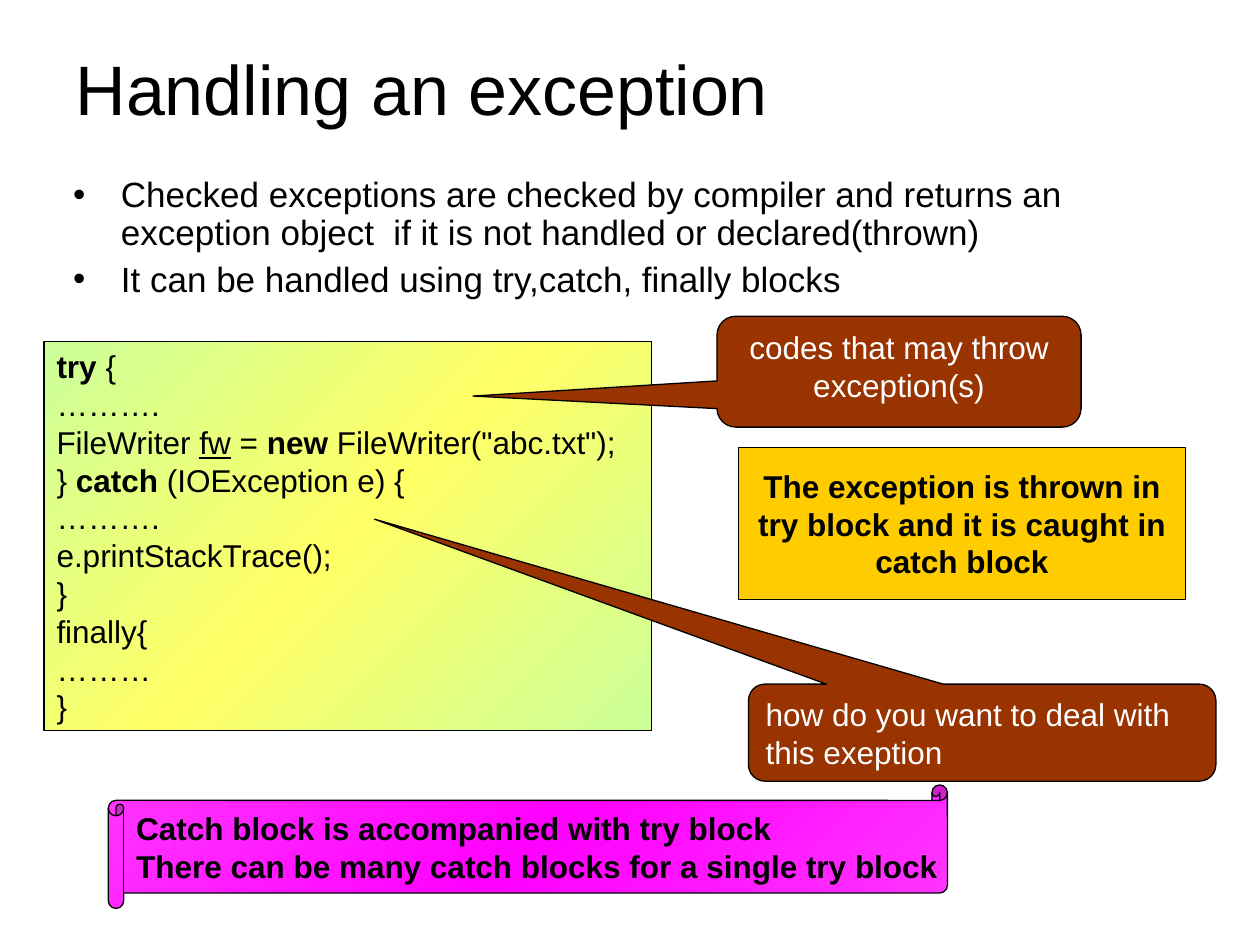
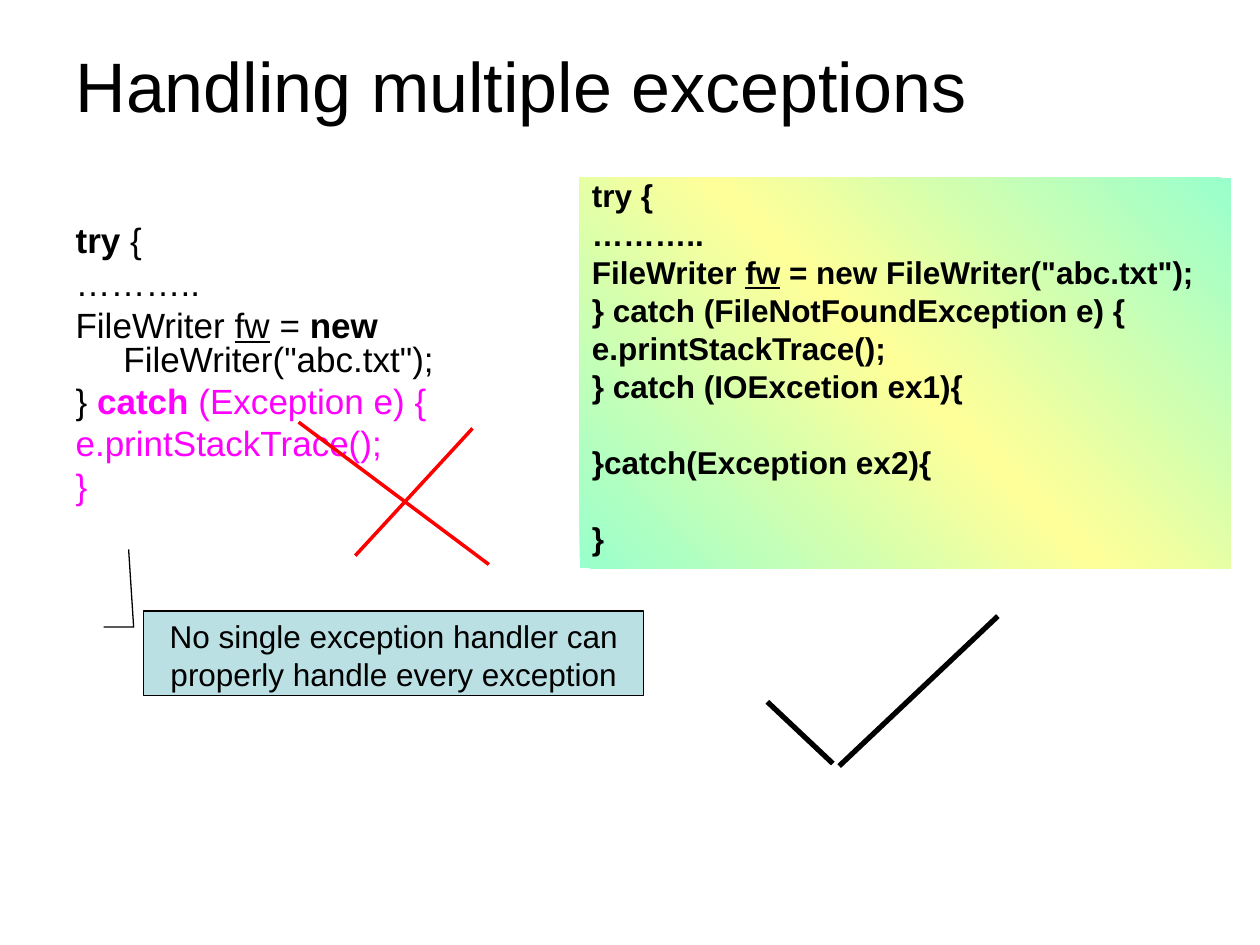
from copy import deepcopy
from dataclasses import dataclass

from lxml import etree
from pptx import Presentation
from pptx.dml.color import RGBColor
from pptx.enum.shapes import MSO_CONNECTOR, MSO_SHAPE
from pptx.enum.text import MSO_ANCHOR, MSO_AUTO_SIZE, PP_ALIGN
from pptx.oxml.ns import qn
from pptx.util import Inches, Pt

RECTANGLE = MSO_SHAPE.RECTANGLE
SCROLL = MSO_SHAPE.HORIZONTAL_SCROLL
SPEECH_CALLOUT = MSO_SHAPE.ROUNDED_RECTANGULAR_CALLOUT
LINE_CALLOUT = MSO_SHAPE.LINE_CALLOUT_2
STRAIGHT = MSO_CONNECTOR.STRAIGHT
LEFT, CENTER = PP_ALIGN.LEFT, PP_ALIGN.CENTER
TOP, MIDDLE = MSO_ANCHOR.TOP, MSO_ANCHOR.MIDDLE


@dataclass(frozen=True)
class Theme:
    font: str = "Arial"
    title_size: int = 40
    body_size: int = 20
    shape_size: int = 18
    outline: float = 0.75
    hanging: float = 0.38
    black: str = "000000"
    white: str = "FFFFFF"
    red: str = "FF0000"
    magenta: str = "FF00FF"
    brown: str = "993300"
    amber: str = "FFCC00"
    pale_blue: str = "BBE0E3"
    lime_yellow: tuple = ("CCFF99", "FFFF66", "CCFF99")
    mint_yellow: tuple = ("99FFCC", "FFFF99", "99FFCC")
    pink_magenta: tuple = ("FF35FF", "FF00FF", "FF35FF")


THEME = Theme()
BOLD = {"bold": True}
UNDERLINE = {"underline": True}
PINK = {"color": THEME.magenta}
PINK_BOLD = {"color": THEME.magenta, "bold": True}

BULLET_SPACING = {"line_spacing": 0.9, "space_before": Pt(5)}
CODE_SPACING = {"line_spacing": 0.8, "space_before": Pt(5)}
DENSE_SPACING = {"line_spacing": 0.8, "space_before": Pt(4.5)}
AFTER_GAP = {"space_before": Pt(26)}

FILE_WRITER = [("FileWriter ", {}), ("fw", UNDERLINE), (" = ", {}),
               ("new", BOLD), (' FileWriter("abc.txt");', {})]

SLIDES = [
    {
        "title": ("Handling an exception", (0.5, 0.3, 9, 0.79)),
        "body": {
            "box": (0.48, 1.36, 9, 1.09),
            "spacing": BULLET_SPACING,
            "bullets": True,
            "text": [
                "Checked exceptions are checked by compiler and returns an "
                "exception object  if it is not handled or declared(thrown)",
                "It can be handled using try,catch, finally blocks",
            ],
        },
        "shapes": [
            {
                "kind": RECTANGLE, "box": (0.35, 2.71, 4.82, 3.09),
                "fill": THEME.lime_yellow, "angle": 315,
                "anchor": MIDDLE, "wrap": False,
                "text": [
                    [("try", BOLD), (" {", {})],
                    "……….",
                    FILE_WRITER,
                    [("} ", {}), ("catch", BOLD), (" (IOException e) {", {})],
                    "……….",
                    "e.printStackTrace();",
                    "}",
                    "finally{",
                    "………",
                    "}",
                ],
            },
            {
                "kind": RECTANGLE, "box": (5.86, 3.55, 3.55, 1.21),
                "fill": THEME.amber, "anchor": MIDDLE, "align": CENTER, "font": BOLD,
                "text": ["The exception is thrown in try block and it is caught in catch block"],
            },
            {
                "kind": SCROLL, "box": (0.86, 6.23, 6.66, 0.98),
                "adjustments": (0.125,),
                "fill": THEME.pink_magenta, "angle": 315,
                "anchor": MIDDLE, "wrap": False, "font": BOLD,
                "text": [
                    "Catch block is accompanied with try block",
                    "There can be many catch blocks for a single try block",
                ],
            },
            {
                "kind": SPEECH_CALLOUT, "box": (5.69, 2.51, 2.89, 0.88),
                "adjustments": (-1.17, 0.22, 0.17),
                "fill": THEME.brown, "align": CENTER, "font": {"color": THEME.white},
                "text": ["codes that may throw exception(s)"],
            },
            {
                "kind": SPEECH_CALLOUT, "box": (5.94, 5.43, 3.71, 0.77),
                "adjustments": (-1.3, -2.2, 0.17),
                "fill": THEME.brown, "font": {"color": THEME.white},
                "text": ["how do you want to deal with this exeption"],
            },
        ],
        "lines": [],
    },
    {
        "title": ("Handling multiple exceptions", (0.5, 0.3, 9, 0.74)),
        "body": {
            "box": (0.5, 1.75, 3.97, 2.33),
            "spacing": CODE_SPACING,
            "bullets": False,
            "text": [
                [("try", BOLD), (" {", {})],
                "………..",
                FILE_WRITER,
                [("} ", {}), ("catch", PINK_BOLD), (" (Exception e) {", PINK)],
                [("e.printStackTrace();", PINK)],
                [("}", PINK)],
            ],
        },
        "shapes": [
            {
                "kind": LINE_CALLOUT, "box": (1.14, 4.85, 3.97, 0.67),
                "adjustments": (0.19, -0.08, 0.19, -0.02, -0.73, -0.03),
                "fill": THEME.pale_blue, "align": CENTER,
                "text": ["No single exception handler can properly handle every exception"],
            },
            {
                "kind": RECTANGLE, "box": (4.6, 1.41, 5.17, 3.1),
                "fill": THEME.mint_yellow, "angle": 45, "outlined": False,
                "font": BOLD, "spacing": DENSE_SPACING, "hanging": True,
                "gaps_before": (6, 7),
                "text": [
                    "try {",
                    "………..",
                    FILE_WRITER,
                    "} catch (FileNotFoundException e) {",
                    "e.printStackTrace();",
                    "} catch (IOExcetion ex1){",
                    "}catch(Exception ex2){",
                    "}",
                ],
            },
        ],
        "lines": [
            ((2.37, 3.35), (3.88, 4.48), THEME.red, 2),
            ((3.75, 3.4), (2.82, 4.41), THEME.red, 2),
            ((6.09, 5.57), (6.61, 6.06), THEME.black, 3),
            ((6.66, 6.08), (7.92, 4.89), THEME.black, 3),
        ],
    },
]


def set_attributes(target, values):
    for name, value in values.items():
        setattr(target, name, value)


def place(shape, box):
    names = ("left", "top", "width", "height")
    set_attributes(shape, dict(zip(names, map(Inches, box))))


def format_font(font, size, style):
    values = {"name": THEME.font, "size": Pt(size), **style}
    font.color.rgb = RGBColor.from_string(values.pop("color", THEME.black))
    set_attributes(font, values)


def hang(paragraph, bullets):
    properties = paragraph._p.get_or_add_pPr()
    properties.set("marL", str(Inches(THEME.hanging)))
    properties.set("indent", str(-Inches(THEME.hanging)))
    if not bullets:
        etree.SubElement(properties, qn("a:buNone"))


def write(frame, content, size, style=None, align=LEFT, spacing=None,
          hanging=False, bullets=False, gaps_before=()):
    for index, line in enumerate(content):
        paragraph = frame.add_paragraph() if index else frame.paragraphs[0]
        gap = AFTER_GAP if index in gaps_before else {}
        set_attributes(paragraph, {"alignment": align, **(spacing or {}), **gap})
        if hanging:
            hang(paragraph, bullets)
        for text, run_style in [(line, {})] if isinstance(line, str) else line:
            run = paragraph.add_run()
            run.text = text
            format_font(run.font, size, {**(style or {}), **run_style})


def paint(shape, fill, angle):
    if isinstance(fill, str):
        shape.fill.solid()
        shape.fill.fore_color.rgb = RGBColor.from_string(fill)
        return
    shape.fill.gradient()
    shape.fill.gradient_angle = angle
    stops = shape._element.spPr.find(qn("a:gradFill")).find(qn("a:gsLst"))
    stops.insert(1, deepcopy(stops[0]))
    for index, (stop, color) in enumerate(zip(shape.fill.gradient_stops, fill)):
        stop.position = index / (len(fill) - 1)
        stop.color.rgb = RGBColor.from_string(color)


def add_text_shape(slide, part):
    shape = slide.shapes.add_shape(part["kind"], *map(Inches, part["box"]))
    shape.shadow.inherit = False
    for index, value in enumerate(part.get("adjustments", ())):
        shape.adjustments[index] = value
    paint(shape, part["fill"], part.get("angle"))
    if part.get("outlined", True):
        shape.line.color.rgb = RGBColor.from_string(THEME.black)
        shape.line.width = Pt(THEME.outline)
    else:
        shape.line.fill.background()
    set_attributes(shape.text_frame, {
        "word_wrap": part.get("wrap", True),
        "vertical_anchor": part.get("anchor", TOP),
    })
    write(shape.text_frame, part["text"], THEME.shape_size, part.get("font"),
          part.get("align", LEFT), part.get("spacing"), part.get("hanging", False),
          gaps_before=part.get("gaps_before", ()))


def add_line(slide, start, end, color, width):
    line = slide.shapes.add_connector(STRAIGHT, *map(Inches, start + end))
    line.line.color.rgb = RGBColor.from_string(color)
    line.line.width = Pt(width)
    etree.SubElement(line._element.spPr, qn("a:effectLst"))


def fill_placeholder(placeholder, box, anchor, content, size, **options):
    place(placeholder, box)
    set_attributes(placeholder.text_frame, {
        "auto_size": MSO_AUTO_SIZE.NONE, "word_wrap": True, "vertical_anchor": anchor,
    })
    write(placeholder.text_frame, content, size, **options)


def build_slide(presentation, content):
    slide = presentation.slides.add_slide(presentation.slide_layouts[1])
    title, title_box = content["title"]
    fill_placeholder(slide.shapes.title, title_box, MIDDLE, [title], THEME.title_size)
    body = content["body"]
    fill_placeholder(slide.placeholders[1], body["box"], TOP, body["text"], THEME.body_size,
                     spacing=body["spacing"], hanging=True, bullets=body["bullets"])
    for part in content["shapes"]:
        add_text_shape(slide, part)
    for line in content["lines"]:
        add_line(slide, *line)


def main():
    presentation = Presentation()
    set_attributes(presentation, {"slide_width": Inches(10), "slide_height": Inches(7.5)})
    for content in SLIDES:
        build_slide(presentation, content)
    presentation.save("out.pptx")


if __name__ == "__main__":
    main()
